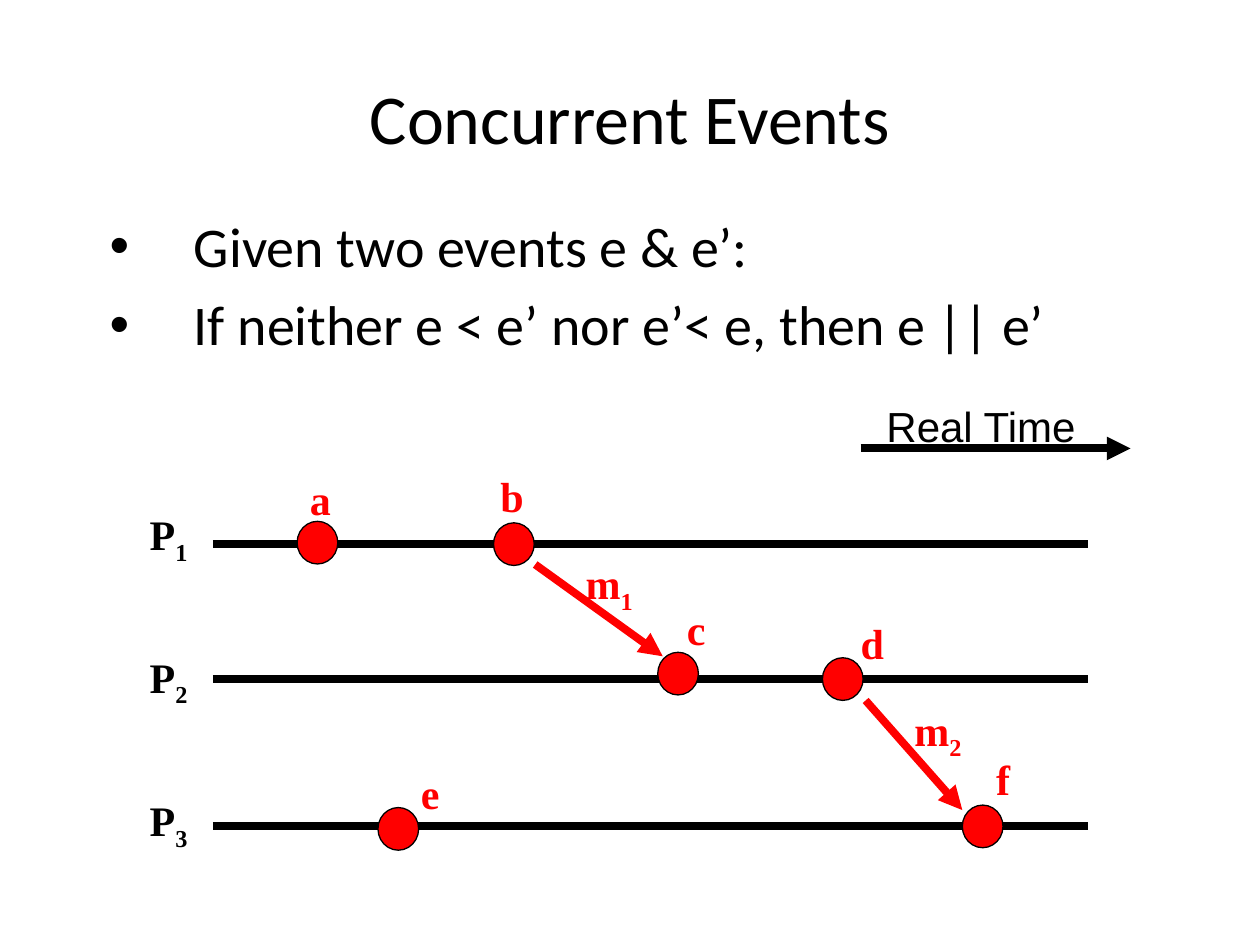
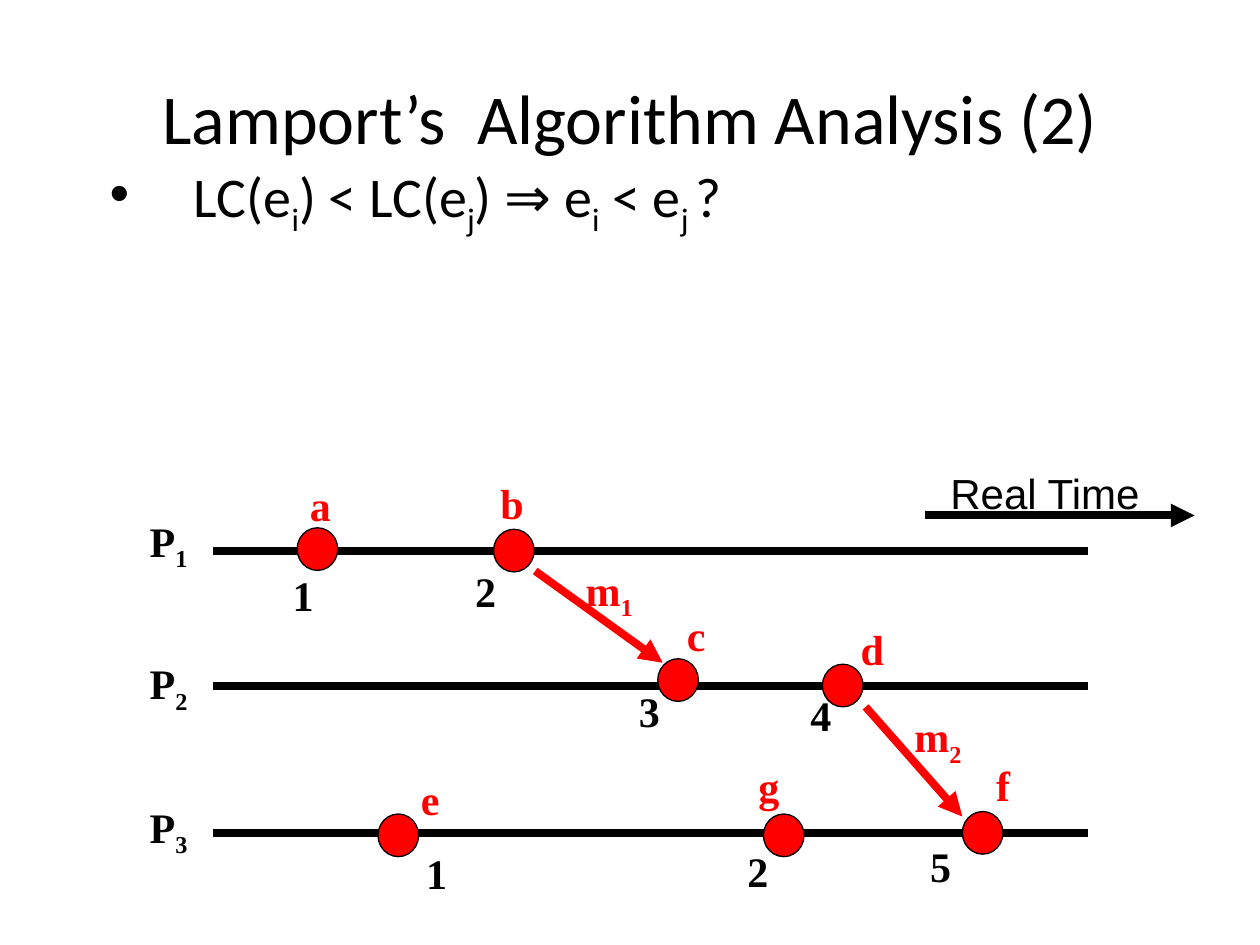
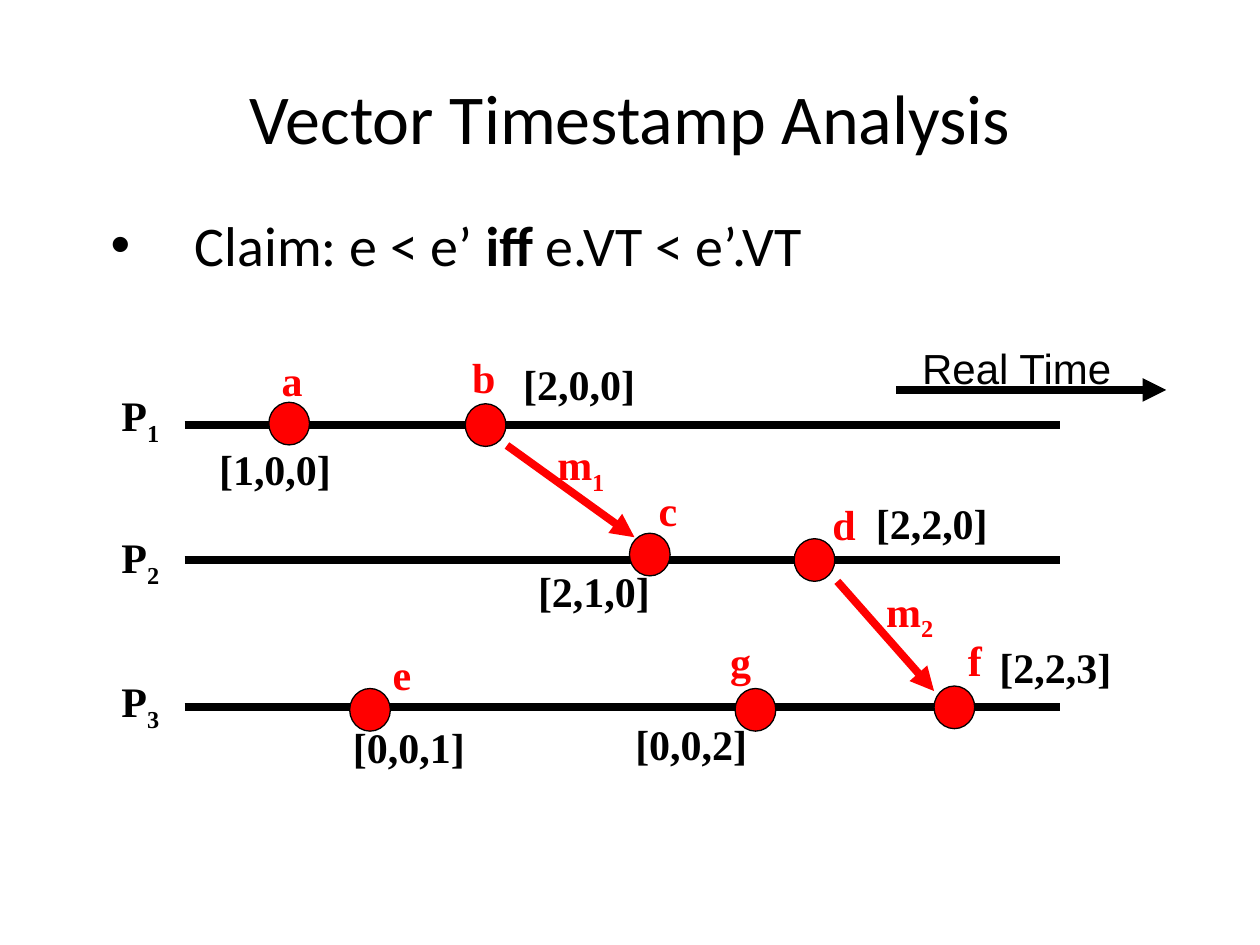
import dataclasses

import lxml.etree
import pptx
import pptx.dml.color
import pptx.enum.shapes
import pptx.enum.text
import pptx.oxml.ns
import pptx.util

Cm = pptx.util.Cm
Pt = pptx.util.Pt
qn = pptx.oxml.ns.qn


@dataclasses.dataclass(frozen=True)
class Theme:
    black = pptx.dml.color.RGBColor(0, 0, 0)
    red = pptx.dml.color.RGBColor(255, 0, 0)
    heading_font = "Calibri"
    label_font = "Times New Roman"
    axis_font = "Arial"
    title_size = Pt(40)
    body_size = Pt(32)
    label_size = Pt(24)
    line_width = Pt(4.5)
    outline_width = Pt(0.75)


theme = Theme()


def add_text(slide, left, top, width, height, runs, font=theme.label_font,
             size=theme.label_size, color=theme.black, bold=True, wrap=False):
    shape = slide.shapes.add_textbox(Cm(left), Cm(top), Cm(width), Cm(height))
    frame = shape.text_frame
    frame.word_wrap = wrap
    if not wrap:
        frame.auto_size = pptx.enum.text.MSO_AUTO_SIZE.SHAPE_TO_FIT_TEXT
    for index, line in enumerate(runs):
        paragraph = frame.paragraphs[0] if index == 0 else frame.add_paragraph()
        paragraph.alignment = pptx.enum.text.PP_ALIGN.CENTER
        for text, style in line:
            run = paragraph.add_run()
            run.text = text
            run.font.name = font
            run.font.size = size
            run.font.color.rgb = color
            run.font.bold = bold or style == "bold"
            if style == "sub":
                run._r.get_or_add_rPr().set("baseline", "-25000")
    return frame


def add_line(slide, x1, y1, x2, y2, color=theme.black, arrow=False):
    connector = slide.shapes.add_connector(
        pptx.enum.shapes.MSO_CONNECTOR.STRAIGHT, Cm(x1), Cm(y1), Cm(x2), Cm(y2))
    connector.line.color.rgb = color
    connector.line.width = theme.line_width
    if arrow:
        lxml.etree.SubElement(connector.line._get_or_add_ln(), qn("a:tailEnd"), type="triangle")
    lxml.etree.SubElement(connector._element.spPr, qn("a:effectLst"))


label_height = 1.27
timeline_length = 17.65
timelines = [("1", 0, -0.84), ("2", 2.72, 2.03), ("3", 5.69, 4.93)]
events = {
    "a": ((1.7, -0.46), (1.7, -1.55, 0.94)),
    "b": ((5.66, -0.43), (5.54, -1.6, 0.99)),
    "c": ((8.97, 2.18), (9.3, 1.07, 0.89)),
    "d": ((12.29, 2.29), (12.8, 1.35, 0.99)),
    "e": ((3.33, 5.31), (3.94, 4.37, 0.89)),
    "f": ((15.11, 5.26), (15.54, 4.09, 0.79)),
    "g": ((11.1, 5.31), (10.74, 4.11, 0.94)),
}
messages = [
    ("1", (6.5, 0.41, 9.07, 2.26), (7.24, 0.15)),
    ("2", (13.16, 3.15, 15.11, 5.36), (13.87, 3.1)),
]

slides = [
    {
        "title": "Concurrent Events",
        "body": (1.96, 4.14, 4.6), "line_spacing": 1,
        "bullets": [
            [("Given two events e & e’:", "")],
            [("If neither e < e’ nor e’< e, then e || e’", "")],
        ],
        "origin": (4.29, 10.97), "time": (13.06, -1.93),
        "events": "abcdef", "stamp_width": 0, "stamps": [],
    },
    {
        "title": "Lamport’s  Algorithm Analysis (2)",
        "body": (1.96, 3.15, 6.1), "line_spacing": 0.9,
        "bullets": [[
            ("LC(e", ""), ("i", "sub"), (") < LC(e", ""), ("j", "sub"), (") ⇒ e", ""),
            ("i", "sub"), (" < e", ""), ("j ", "sub"), ("?", ""),
        ]],
        "origin": (4.29, 11.1), "time": (14.35, -0.71),
        "events": "abcdefg", "stamp_width": 0.94,
        "stamps": [
            ("1", 1.35, 0.25), ("2", 5.03, 0.18), ("3", 8.33, 2.59), ("4", 11.79, 2.67),
            ("1", 4.04, 5.87), ("5", 14.2, 5.72), ("2", 10.52, 5.82),
        ],
    },
    {
        "title": "Vector Timestamp Analysis",
        "body": (1.98, 4.11, 3.3), "line_spacing": 1,
        "bullets": [[("Claim: e < e’ ", ""), ("iff", "bold"), (" e.VT < e’.VT", "")]],
        "origin": (3.72, 8.57), "time": (14.35, -0.71),
        "events": "abcdefg", "stamp_width": 2.77,
        "stamps": [
            ("[1,0,0]", 0.44, 0.24), ("[2,0,0]", 6.57, -1.46), ("[2,1,0]", 6.87, 2.71),
            ("[2,2,0]", 13.68, 1.33), ("[0,0,1]", 3.14, 5.85), ("[2,2,3]", 16.17, 4.23),
            ("[0,0,2]", 8.83, 5.78),
        ],
    },
]

presentation = pptx.Presentation()
presentation.slide_width = Cm(25.4)
presentation.slide_height = Cm(19.05)

for content in slides:
    slide = presentation.slides.add_slide(presentation.slide_layouts[6])
    title = add_text(slide, 1.27, 0.76, 22.86, 3.18, [[(content["title"], "")]],
                     theme.heading_font, theme.title_size, bold=False, wrap=True)
    title.vertical_anchor = pptx.enum.text.MSO_ANCHOR.MIDDLE

    left, top, height = content["body"]
    body = add_text(slide, left, top, 21.82, height, content["bullets"],
                    theme.heading_font, theme.body_size, bold=False, wrap=True)
    for paragraph in body.paragraphs:
        paragraph.alignment = pptx.enum.text.PP_ALIGN.LEFT
        paragraph.line_spacing = content["line_spacing"]
        paragraph.space_before = Pt(6.4)
        properties = paragraph._p.get_or_add_pPr()
        properties.set("marL", str(Cm(1.7)))
        properties.set("indent", str(Cm(-1.7)))
        lxml.etree.SubElement(properties, qn("a:buFont"), typeface=theme.axis_font)
        lxml.etree.SubElement(properties, qn("a:buChar"), char="•")

    x, y = content["origin"]
    for number, line_top, label_top in timelines:
        add_line(slide, x, y + line_top, x + timeline_length, y + line_top)
        add_text(slide, x - 1.55, y + label_top, 1.32, label_height, [[("P", ""), (number, "sub")]])

    time_x, time_y = x + content["time"][0], y + content["time"][1]
    add_line(slide, time_x, time_y, time_x + 5.44, time_y, arrow=True)
    add_text(slide, time_x + 0.24, time_y - 1.09, 4.37, label_height, [[("Real Time", "")]],
             theme.axis_font, bold=False)

    for name in content["events"]:
        (dot_x, dot_y), (label_x, label_y, label_width) = events[name]
        dot = slide.shapes.add_shape(pptx.enum.shapes.MSO_SHAPE.OVAL,
                                     Cm(x + dot_x), Cm(y + dot_y), Cm(0.82), Cm(0.86))
        dot.shadow.inherit = False
        dot.fill.solid()
        dot.fill.fore_color.rgb = theme.red
        dot.line.color.rgb = theme.black
        dot.line.width = theme.outline_width
        add_text(slide, x + label_x, y + label_y, label_width, label_height,
                 [[(name, "")]], color=theme.red)

    for number, (x1, y1, x2, y2), (label_x, label_y) in messages:
        add_line(slide, x + x1, y + y1, x + x2, y + y2, theme.red, arrow=True)
        add_text(slide, x + label_x, y + label_y, 1.5, label_height,
                 [[("m", ""), (number, "sub")]], color=theme.red)

    for stamp, stamp_x, stamp_y in content["stamps"]:
        add_text(slide, x + stamp_x, y + stamp_y, content["stamp_width"], label_height, [[(stamp, "")]])

presentation.save("out.pptx")
